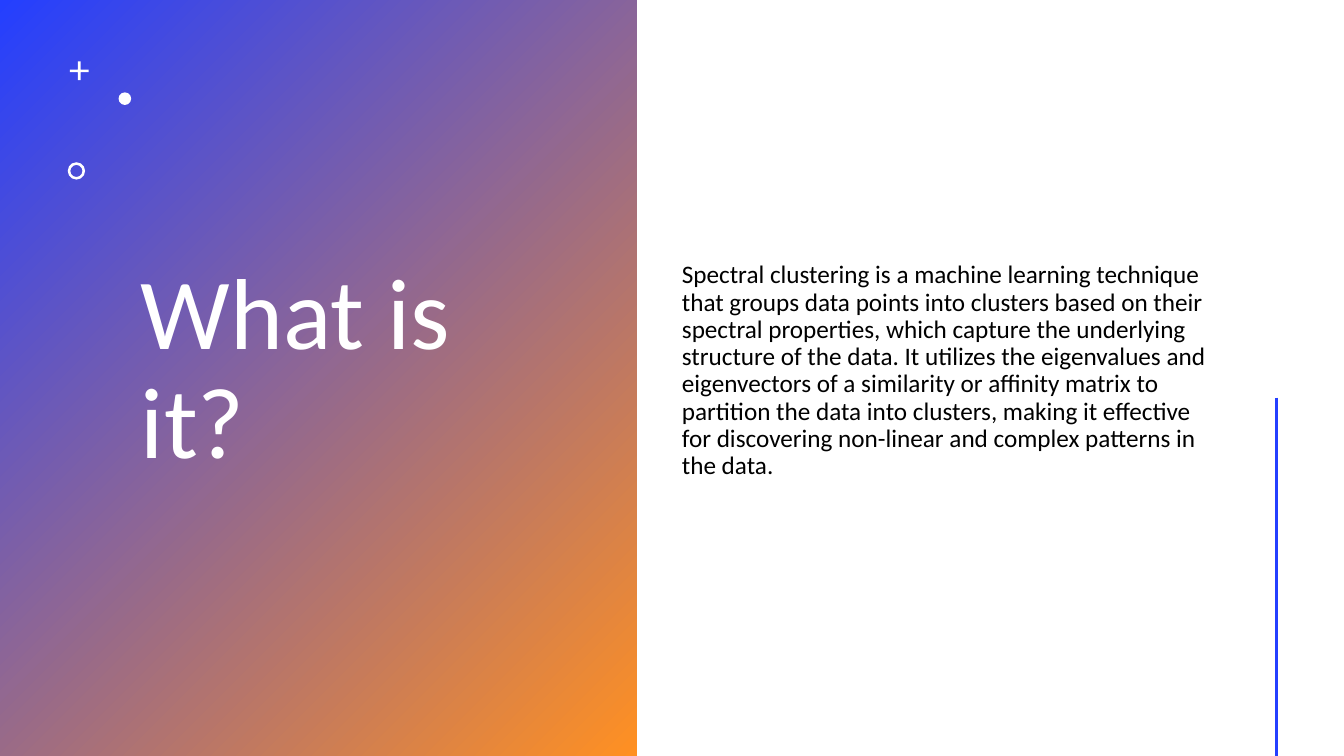
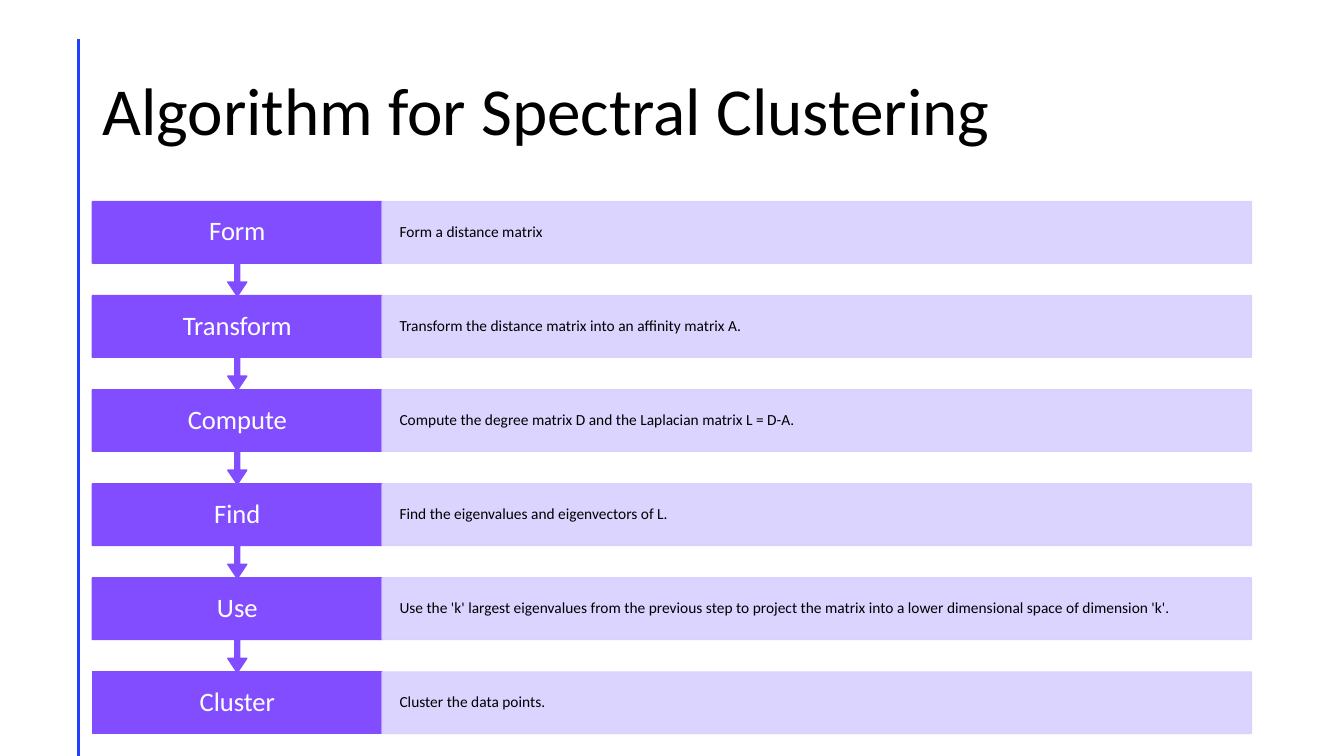
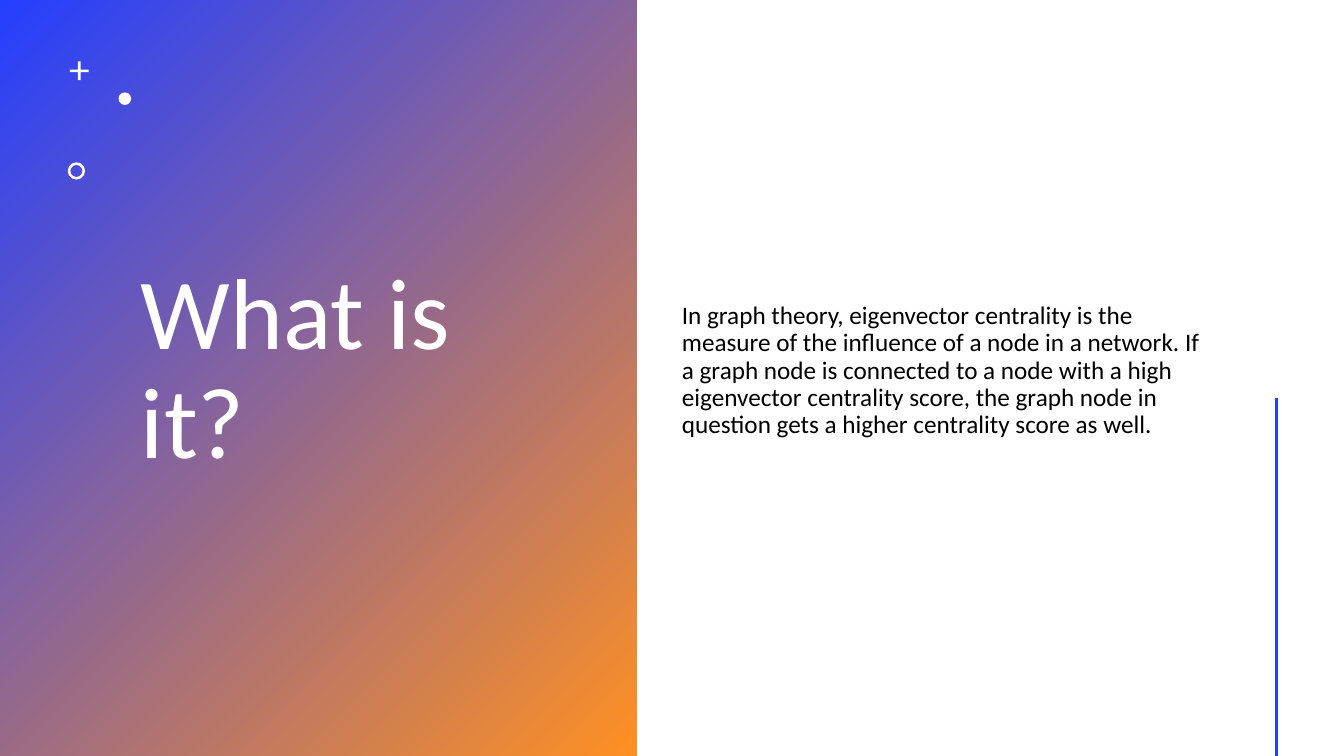
import pptx
import pptx.dml.color
import pptx.enum.shapes
import pptx.enum.text
import pptx.oxml.ns
import pptx.util
from lxml import etree

Pt = pptx.util.Pt
SHAPE = pptx.enum.shapes.MSO_SHAPE
ALIGN = pptx.enum.text.PP_ALIGN
qn = pptx.oxml.ns.qn

WIDTH, HEIGHT = 960, 540
FONT = "Calibri"
BLUE = "243FFF"
ORANGE = "FF9022"
PURPLE = "814DFF"
LILAC = "D8D0FF"
WHITE = "FFFFFF"
BLACK = "000000"

STEP_TOP, STEP_PITCH, STEP_HEIGHT = 144, 67.2, 44
LABEL_LEFT, LABEL_WIDTH, DETAIL_WIDTH = 66, 207, 621

STEPS = [
    ("Form", "Form a distance matrix"),
    ("Transform", "Transform the distance matrix into an affinity matrix A."),
    ("Compute", "Compute the degree matrix D and the Laplacian matrix L = D-A."),
    ("Find", "Find the eigenvalues and eigenvectors of L."),
    ("Use", "Use the 'k' largest eigenvalues from the previous step to project "
            "the matrix into a lower dimensional space of dimension 'k'."),
    ("Cluster", "Cluster the data points."),
]

SPECTRAL = (
    "Spectral clustering is a machine learning technique that groups data points "
    "into clusters based on their spectral properties, which capture the underlying "
    "structure of the data. It utilizes the eigenvalues and eigenvectors of a "
    "similarity or affinity matrix to partition the data into clusters, making it "
    "effective for discovering non-linear and complex patterns in the data."
)
CENTRALITY = (
    "In graph theory, eigenvector centrality is the measure of the influence of a "
    "node in a network. If a graph node is connected to a node with a high "
    "eigenvector centrality score, the graph node in question gets a higher "
    "centrality score as well."
)


def rgb(color):
    return pptx.dml.color.RGBColor.from_string(color)


def add_slide(prs):
    return prs.slides.add_slide(prs.slide_layouts[6])


def write(sp, text, size, color, align=ALIGN.LEFT, inset=(7.2, 3.6), before=0):
    tf = sp.text_frame
    tf.word_wrap = True
    tf.vertical_anchor = pptx.enum.text.MSO_ANCHOR.MIDDLE
    tf.margin_left = tf.margin_right = Pt(inset[0])
    tf.margin_top = tf.margin_bottom = Pt(inset[1])
    p = tf.paragraphs[0]
    p.alignment = align
    p.line_spacing = 0.9
    p.space_before = Pt(before)
    r = p.add_run()
    r.text = text
    r.font.name = FONT
    r.font.size = Pt(size)
    r.font.color.rgb = rgb(color)


def add_text(s, box, text, size, color, before=0):
    sp = s.shapes.add_textbox(*map(Pt, box))
    write(sp, text, size, color, before=before)


def add_shape(s, kind, box, color, outlined=False, adjustments=()):
    sp = s.shapes.add_shape(kind, *map(Pt, box))
    sp.shadow.inherit = False
    sp.fill.solid()
    sp.fill.fore_color.rgb = rgb(color)
    if outlined:
        sp.line.color.rgb = rgb(color)
        sp.line.width = Pt(1)
    else:
        sp.line.fill.background()
    for i, value in enumerate(adjustments):
        sp.adjustments[i] = value
    return sp


def set_opacity(sp, percent):
    for clr in sp._element.spPr.iter(qn("a:srgbClr")):
        etree.SubElement(clr, qn("a:alpha")).set("val", str(percent * 1000))


def add_accent_line(s, x, top):
    line = s.shapes.add_connector(
        pptx.enum.shapes.MSO_CONNECTOR.STRAIGHT, Pt(x), Pt(top), Pt(x), Pt(HEIGHT))
    line.line.color.rgb = rgb(BLUE)
    line.line.width = Pt(2)
    etree.SubElement(line._element.spPr, qn("a:effectLst"))


def add_gradient_panel(s):
    sp = add_shape(s, SHAPE.RECTANGLE, (0, 0, 455, HEIGHT), BLUE)
    sp.fill.gradient()
    sp.fill.gradient_angle = 315
    for stop, color in zip(sp.fill.gradient_stops, (BLUE, ORANGE)):
        stop.color.rgb = rgb(color)


def add_ornaments(s):
    add_shape(s, SHAPE.CROSS, (49.9, 43.9, 13.4, 13.4), WHITE, adjustments=[0.43])
    add_shape(s, SHAPE.OVAL, (84.7, 66, 9, 9), WHITE)
    add_shape(s, SHAPE.DONUT, (48.4, 115.9, 12.4, 12.4), WHITE, adjustments=[0.15])


def add_definition_slide(prs, text):
    s = add_slide(prs)
    add_gradient_panel(s)
    add_text(s, (93.6, 30, 315.4, 470), "What is it?", 72, WHITE)
    add_ornaments(s)
    add_text(s, (480, 30, 392.4, 470), text, 18, BLACK, before=10)
    add_accent_line(s, 912, 284)


def add_step(s, y, label, detail, is_last):
    if is_last:
        sp = add_shape(s, SHAPE.RECTANGLE, (LABEL_LEFT, y, LABEL_WIDTH, STEP_HEIGHT),
                       PURPLE, True)
    else:
        sp = add_shape(s, SHAPE.DOWN_ARROW_CALLOUT,
                       (LABEL_LEFT, y, LABEL_WIDTH, STEP_PITCH + 0.4),
                       PURPLE, True, [0.05, 0.1, 0.15, 0.65])
    write(sp, label, 19, WHITE, ALIGN.CENTER, (14.4, 10.8))
    sp = add_shape(s, SHAPE.RECTANGLE,
                   (LABEL_LEFT + LABEL_WIDTH, y, DETAIL_WIDTH, STEP_HEIGHT), LILAC, True)
    set_opacity(sp, 90)
    write(sp, detail, 11, BLACK, inset=(12.4, 10.8))


def add_algorithm_slide(prs):
    s = add_slide(prs)
    add_accent_line(s, 56, 28)
    add_text(s, (66, 28.8, 828, 104.4), "Algorithm for Spectral Clustering", 48, BLACK)
    for i, (label, detail) in enumerate(STEPS):
        add_step(s, STEP_TOP + i * STEP_PITCH, label, detail, i == len(STEPS) - 1)


def main():
    prs = pptx.Presentation()
    prs.slide_width, prs.slide_height = Pt(WIDTH), Pt(HEIGHT)
    add_definition_slide(prs, SPECTRAL)
    add_algorithm_slide(prs)
    add_definition_slide(prs, CENTRALITY)
    prs.save("out.pptx")


if __name__ == "__main__":
    main()
